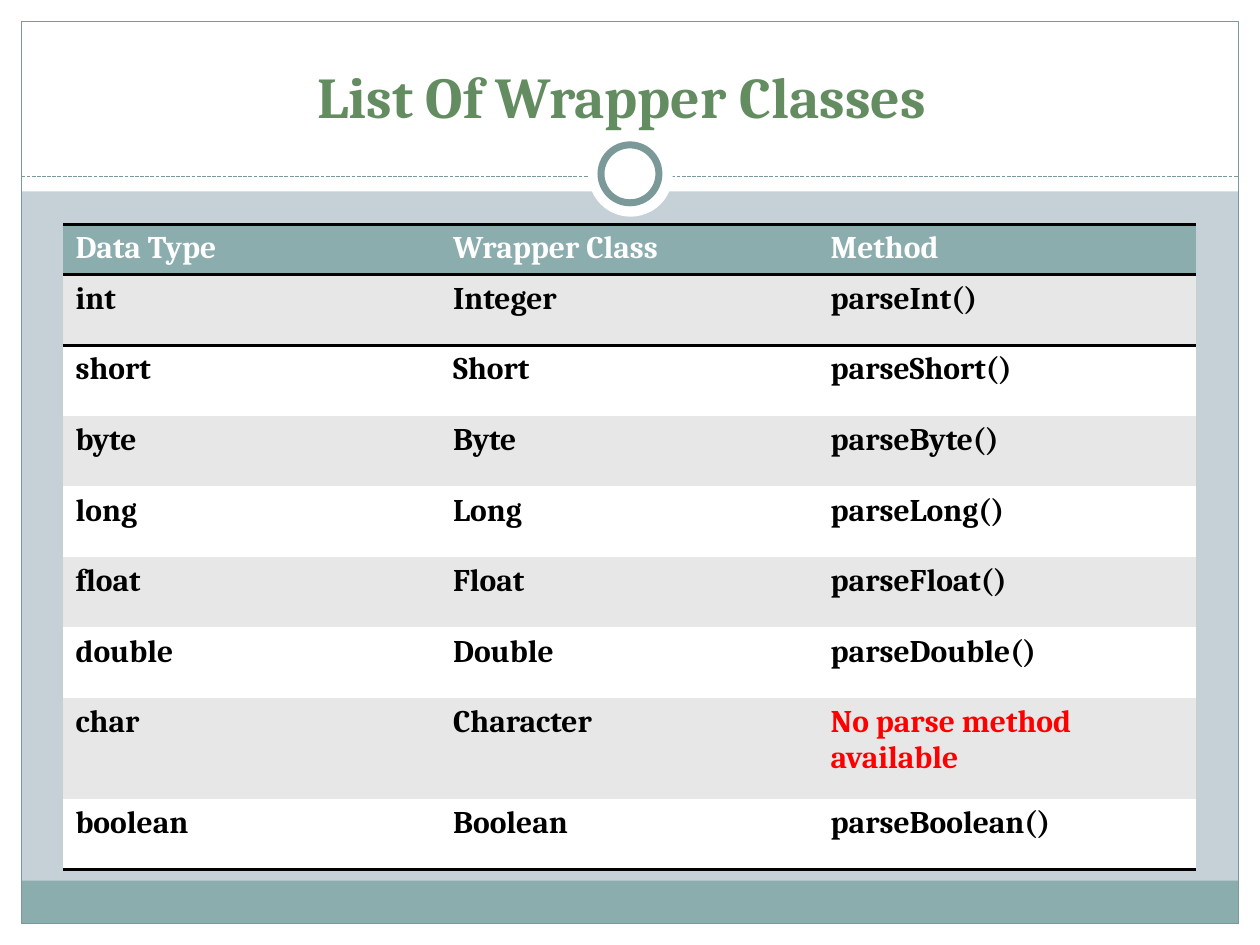
from lxml import etree
from pptx import Presentation
from pptx.dml.color import RGBColor
from pptx.enum.dml import MSO_LINE
from pptx.enum.shapes import MSO_CONNECTOR, MSO_SHAPE
from pptx.enum.text import MSO_ANCHOR, PP_ALIGN
from pptx.oxml import parse_xml
from pptx.oxml.ns import nsdecls, qn
from pptx.util import Inches, Pt

RECTANGLE, OVAL = MSO_SHAPE.RECTANGLE, MSO_SHAPE.OVAL
STRAIGHT, DASH = MSO_CONNECTOR.STRAIGHT, MSO_LINE.SQUARE_DOT
BOTTOM, CENTER, LEFT = MSO_ANCHOR.BOTTOM, PP_ALIGN.CENTER, PP_ALIGN.LEFT

WIDTH, HEIGHT, EDGE = 10, 7.5, 0.17
INNER_WIDTH, INNER_HEIGHT = WIDTH - 2 * EDGE, HEIGHT - 2 * EDGE
RULE_Y, FOOTER = 1.4, 0.34
WHITE, BLACK, RED = "FFFFFF", "000000", "FF0000"
TEAL, OUTLINE, GRAY = "8CADAE", "7C999A", "E7E7E7"
PLAIN_TABLE_STYLE = "{2D5ABB26-0587-4C30-8999-92F81FD0307C}"


def color(hex_string):
    return RGBColor.from_string(hex_string)


def write(text_frame, text, size=18, fill=BLACK, align=LEFT):
    paragraph = text_frame.paragraphs[0]
    paragraph.alignment = align
    run = paragraph.add_run()
    run.text = text
    run.font.name = "Cambria"
    run.font.size = Pt(size)
    run.font.bold = True
    run.font.color.rgb = color(fill)


presentation = Presentation()
presentation.slide_width = Inches(WIDTH)
presentation.slide_height = Inches(HEIGHT)
slide = presentation.slides.add_slide(presentation.slide_layouts[6])
slide.background.fill.solid()
slide.background.fill.fore_color.rgb = color("C5D1D7")

# White margins, footer band, frame, dashed rule and ring, from back to front
decorations = [
    (RECTANGLE, 0, HEIGHT - EDGE, WIDTH, EDGE, WHITE, 0),
    (RECTANGLE, 0, 0, WIDTH, 1.52, WHITE, 0),
    (RECTANGLE, 0, 0, EDGE, HEIGHT, WHITE, 0),
    (RECTANGLE, WIDTH - EDGE, 0, EDGE, HEIGHT, WHITE, 0),
    (RECTANGLE, EDGE, HEIGHT - EDGE - FOOTER, INNER_WIDTH, FOOTER, TEAL, 0),
    (RECTANGLE, EDGE, EDGE, INNER_WIDTH, INNER_HEIGHT, None, 0.75),
    "rule",
    (OVAL, 4.67, 1.05, 0.67, 0.67, WHITE, 0),
    (OVAL, 4.77, 1.15, 0.46, 0.46, WHITE, 4),
]
for decoration in decorations:
    if decoration == "rule":
        rule = slide.shapes.add_connector(
            STRAIGHT, Inches(EDGE), Inches(RULE_Y), Inches(WIDTH - EDGE), Inches(RULE_Y))
        rule.line.color.rgb = color(OUTLINE)
        rule.line.width = Pt(0.75)
        rule.line.dash_style = DASH
        etree.SubElement(rule.element.spPr, qn("a:effectLst"))
        continue
    kind, left, top, width, height, fill, line_width = decoration
    shape = slide.shapes.add_shape(kind, *map(Inches, (left, top, width, height)))
    shape.shadow.inherit = False
    if fill:
        shape.fill.solid()
        shape.fill.fore_color.rgb = color(fill)
    else:
        shape.fill.background()
    if line_width:
        shape.line.color.rgb = color(OUTLINE)
        shape.line.width = Pt(line_width)
    else:
        shape.line.fill.background()

# Title
title = slide.shapes.add_textbox(*map(Inches, (0.85, 0.13, 8.17, 0.95))).text_frame
title.word_wrap = True
title.vertical_anchor = BOTTOM
write(title, "List Of Wrapper Classes", size=33, fill="648C61", align=CENTER)

# Table of data types: banded rows, rules around the header and at the foot
rows = [
    ("Data Type", "Wrapper Class", "Method"),
    ("int", "Integer", "parseInt()"),
    ("short", "Short", "parseShort()"),
    ("byte", "Byte", "parseByte()"),
    ("long", "Long", "parseLong()"),
    ("float", "Float", "parseFloat()"),
    ("double", "Double", "parseDouble()"),
    ("char", "Character", "No parse method available"),
    ("boolean", "Boolean", "parseBoolean()"),
]
row_heights = [0.4] + [0.56] * 6 + [0.8, 0.56]
frame = slide.shapes.add_table(
    len(rows), 3, Inches(0.5), Inches(1.78), Inches(8.99), Inches(sum(row_heights)))
table = frame.table
next(frame.element.iter(qn("a:tableStyleId"))).text = PLAIN_TABLE_STYLE

for row_index, (texts, row_height) in enumerate(zip(rows, row_heights)):
    table.rows[row_index].height = Inches(row_height)
    header, last = row_index == 0, row_index == len(rows) - 1
    band = TEAL if header else GRAY if row_index % 2 else WHITE
    sides = ["lnT", "lnB"] if header else ["lnB"] if last else []
    if row_index == 1:
        sides = ["lnT"]
    for column_index, text in enumerate(texts):
        cell = table.cell(row_index, column_index)
        cell.fill.solid()
        cell.fill.fore_color.rgb = color(band)
        text_color = WHITE if header else RED if text.startswith("No ") else BLACK
        write(cell.text_frame, text, fill=text_color)
        properties = cell.fill.fore_color and next(frame.element.iter(qn("a:tbl"))).tr_lst[
            row_index].tc_lst[column_index].get_or_add_tcPr()
        for position, side in enumerate(sides):
            properties.insert(position, parse_xml(
                f'<a:{side} {nsdecls("a")} w="{Pt(2)}"><a:solidFill>'
                f'<a:srgbClr val="{BLACK}"/></a:solidFill></a:{side}>'))

presentation.save("out.pptx")
